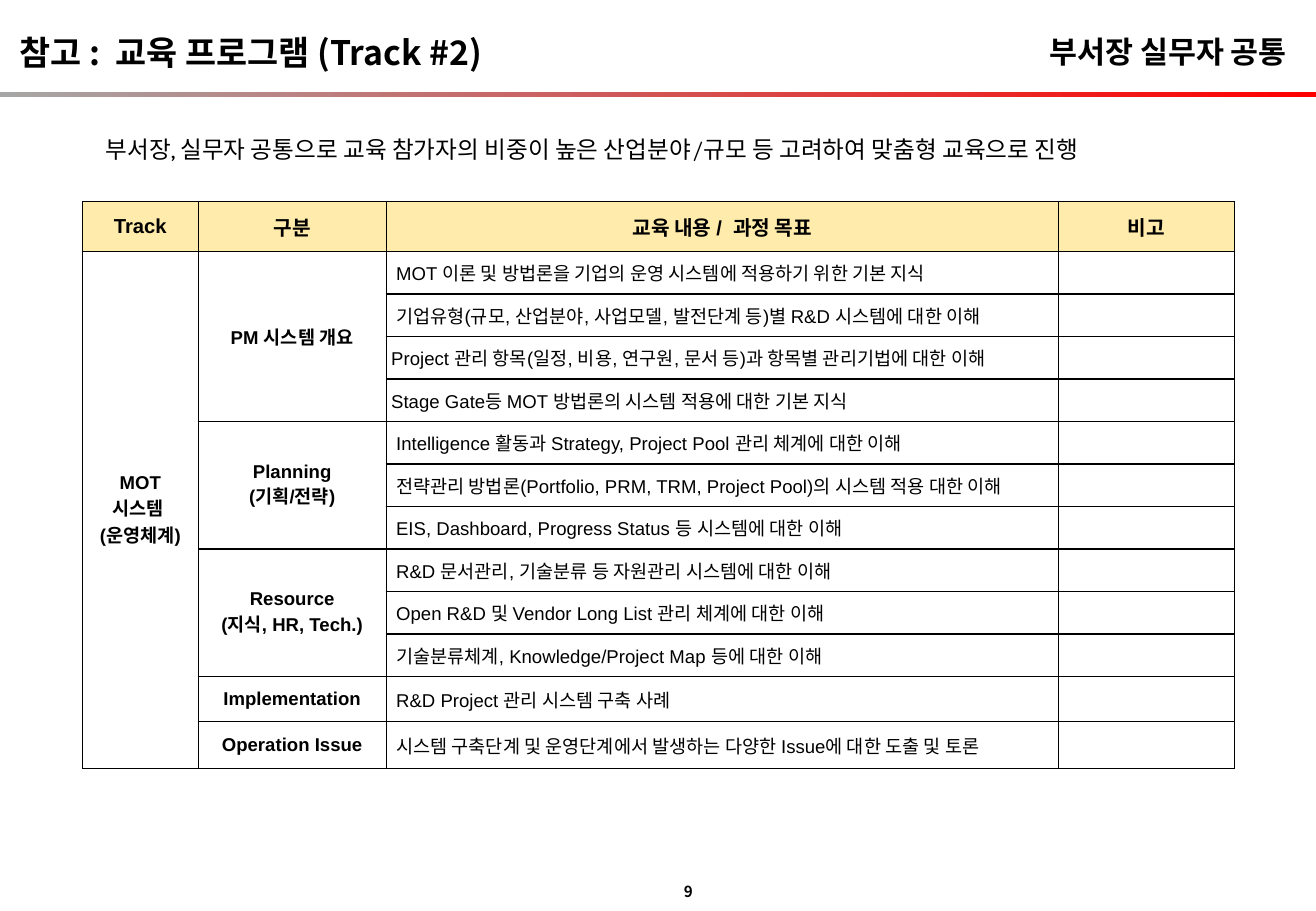
from dataclasses import dataclass

from lxml import etree
from pptx import Presentation
from pptx.dml.color import RGBColor
from pptx.enum.shapes import MSO_SHAPE
from pptx.enum.text import MSO_ANCHOR, MSO_AUTO_SIZE, PP_ALIGN
from pptx.oxml.ns import qn
from pptx.util import Inches, Pt

LEFT, CENTER, RIGHT = PP_ALIGN.LEFT, PP_ALIGN.CENTER, PP_ALIGN.RIGHT
TOP, MIDDLE = MSO_ANCHOR.TOP, MSO_ANCHOR.MIDDLE
FIT_SHAPE = MSO_AUTO_SIZE.SHAPE_TO_FIT_TEXT
RECTANGLE = MSO_SHAPE.RECTANGLE

KOREAN_FONT = "Noto Sans CJK KR"
TABLE_FONT = "Arial"
BLACK, GRAY, RED, CREAM = "000000", "A6A6A6", "FF0000", "FFEBAB"
THIN, MEDIUM = 0.75, 1


@dataclass
class Lesson:
    text: str
    indent: float = 0.08


@dataclass
class Topic:
    label: str
    lessons: list[Lesson]


HEADERS = ["Track", "구분", "교육 내용 /  과정 목표", "비고"]
TRACK = "MOT\n시스템 \n(운영체계)"
TOPICS = [
    Topic("PM 시스템 개요", [
        Lesson("MOT 이론 및 방법론을 기업의 운영 시스템에 적용하기 위한 기본 지식"),
        Lesson("기업유형(규모, 산업분야, 사업모델, 발전단계 등)별 R&D 시스템에 대한 이해"),
        Lesson("Project 관리 항목(일정, 비용, 연구원, 문서 등)과 항목별 관리기법에 대한 이해", 0.04),
        Lesson("Stage Gate등 MOT 방법론의 시스템 적용에 대한 기본 지식", 0.04),
    ]),
    Topic("Planning\n(기획/전략)", [
        Lesson("Intelligence 활동과 Strategy, Project Pool 관리 체계에 대한 이해"),
        Lesson("전략관리 방법론(Portfolio, PRM, TRM, Project Pool)의 시스템 적용 대한 이해"),
        Lesson("EIS, Dashboard, Progress Status 등 시스템에 대한 이해"),
    ]),
    Topic("Resource\n(지식, HR, Tech.)", [
        Lesson("R&D 문서관리, 기술분류 등 자원관리 시스템에 대한 이해"),
        Lesson("Open R&D 및 Vendor Long List 관리 체계에 대한 이해"),
        Lesson("기술분류체계, Knowledge/Project Map 등에 대한 이해"),
    ]),
    Topic("Implementation", [Lesson("R&D Project 관리 시스템 구축 사례")]),
    Topic("Operation Issue", [
        Lesson("시스템 구축단계 및 운영단계에서 발생하는 다양한 Issue에 대한 도출 및 토론"),
    ]),
]
COLUMN_WIDTHS = [0.95, 1.55, 5.53, 1.45]
ROW_HEIGHTS = [0.41] + [0.35] * 10 + [0.37, 0.39]


def color(value: str) -> RGBColor:
    return RGBColor.from_string(value)


def write(frame, text: str, *, size: float, font: str = KOREAN_FONT,
          bold: bool = False, align=LEFT) -> None:
    for index, line in enumerate(text.split("\n")):
        para = frame.add_paragraph() if index else frame.paragraphs[0]
        para.alignment = align
        span = para.add_run()
        span.text = line
        span.font.size = Pt(size)
        span.font.name = font
        span.font.bold = bold
        span.font.color.rgb = color(BLACK)
        east_asian = etree.SubElement(span.font._element, qn("a:ea"))
        east_asian.set("typeface", KOREAN_FONT)


def write_line(box, text: str, *, anchor=TOP, **style) -> None:
    frame = box.text_frame
    frame.word_wrap = False
    frame.auto_size = FIT_SHAPE
    frame.vertical_anchor = anchor
    write(frame, text, **style)


def add_text(page, place: tuple, text: str, **style) -> None:
    box = page.shapes.add_textbox(*map(Inches, place))
    write_line(box, text, **style)


def set_borders(cell, width: float) -> None:
    properties = cell._tc.get_or_add_tcPr()
    for index, side in enumerate(("lnL", "lnR", "lnT", "lnB")):
        line = etree.Element(qn(f"a:{side}"), w=str(Pt(width)))
        fill = etree.SubElement(line, qn("a:solidFill"))
        etree.SubElement(fill, qn("a:srgbClr"), val=BLACK)
        properties.insert(index, line)


def format_cell(cell, row: int, column: int) -> None:
    if row == 0:
        cell.fill.solid()
        cell.fill.fore_color.rgb = color(CREAM)
    else:
        cell.fill.background()
    set_borders(cell, MEDIUM if row and column > 1 else THIN)
    cell.vertical_anchor = MIDDLE
    cell.margin_left = cell.margin_right = Inches(0.04)
    cell.margin_top = cell.margin_bottom = Inches(0.02)


def add_program_table(page) -> None:
    frame = page.shapes.add_table(
        len(ROW_HEIGHTS), len(COLUMN_WIDTHS), Inches(0.68), Inches(1.66),
        Inches(sum(COLUMN_WIDTHS)), Inches(sum(ROW_HEIGHTS)))
    table = frame.table
    table.first_row = table.horz_banding = False
    for column, width in zip(table.columns, COLUMN_WIDTHS):
        column.width = Inches(width)
    for row, height in zip(table.rows, ROW_HEIGHTS):
        row.height = Inches(height)
    for row in range(len(ROW_HEIGHTS)):
        for column in range(len(COLUMN_WIDTHS)):
            format_cell(table.cell(row, column), row, column)

    def fill_cell(row: int, column: int, text: str, *, size: float = 11,
                  bold: bool = True, align=CENTER) -> None:
        write(table.cell(row, column).text_frame, text, size=size,
              font=TABLE_FONT, bold=bold, align=align)

    # Header row and track column
    for column, header in enumerate(HEADERS):
        fill_cell(0, column, header, size=12)
    table.cell(1, 0).merge(table.cell(len(ROW_HEIGHTS) - 1, 0))
    fill_cell(1, 0, TRACK)

    # Topics and their lessons
    first = 1
    for topic in TOPICS:
        after = first + len(topic.lessons)
        if after - first > 1:
            table.cell(first, 1).merge(table.cell(after - 1, 1))
        fill_cell(first, 1, topic.label)
        for row, lesson in enumerate(topic.lessons, first):
            table.cell(row, 2).margin_left = Inches(lesson.indent)
            fill_cell(row, 2, lesson.text, bold=False, align=LEFT)
        first = after


def add_header_bar(page) -> None:
    bar = page.shapes.add_shape(
        RECTANGLE, 0, Inches(0.76), Inches(10.83), Inches(0.04))
    bar.shadow.inherit = False
    bar.line.fill.background()
    bar.fill.gradient()
    bar.fill.gradient_angle = 0
    for stop, shade in zip(bar.fill.gradient_stops, (GRAY, RED)):
        stop.color.rgb = color(shade)


def main() -> None:
    deck = Presentation()
    deck.slide_width, deck.slide_height = Inches(10.83), Inches(7.5)
    page = deck.slides.add_slide(deck.slide_layouts[5])

    # Header
    add_header_bar(page)
    title = page.shapes.title
    title.left, title.top = Inches(8.2), Inches(0.22)
    title.width, title.height = Inches(2.49), Inches(0.4)
    write_line(title, "부서장 실무자 공통", size=18, bold=True, align=RIGHT, anchor=MIDDLE)
    add_text(page, (0.06, 0.21, 4.5, 0.44), "참고 :  교육 프로그램 (Track #2)",
             size=20, bold=True)

    # Summary and program
    add_text(page, (0.77, 1.06, 8.91, 0.34),
             "부서장, 실무자 공통으로 교육 참가자의 비중이 높은 산업분야/규모 등 고려하여 맞춤형 교육으로 진행",
             size=14, font="Cambria")
    add_program_table(page)

    # Page number
    add_text(page, (5.52, 7.21, 0.28, 0.25), "9", size=9, bold=True, align=RIGHT, anchor=MIDDLE)
    deck.save("out.pptx")


if __name__ == "__main__":
    main()
